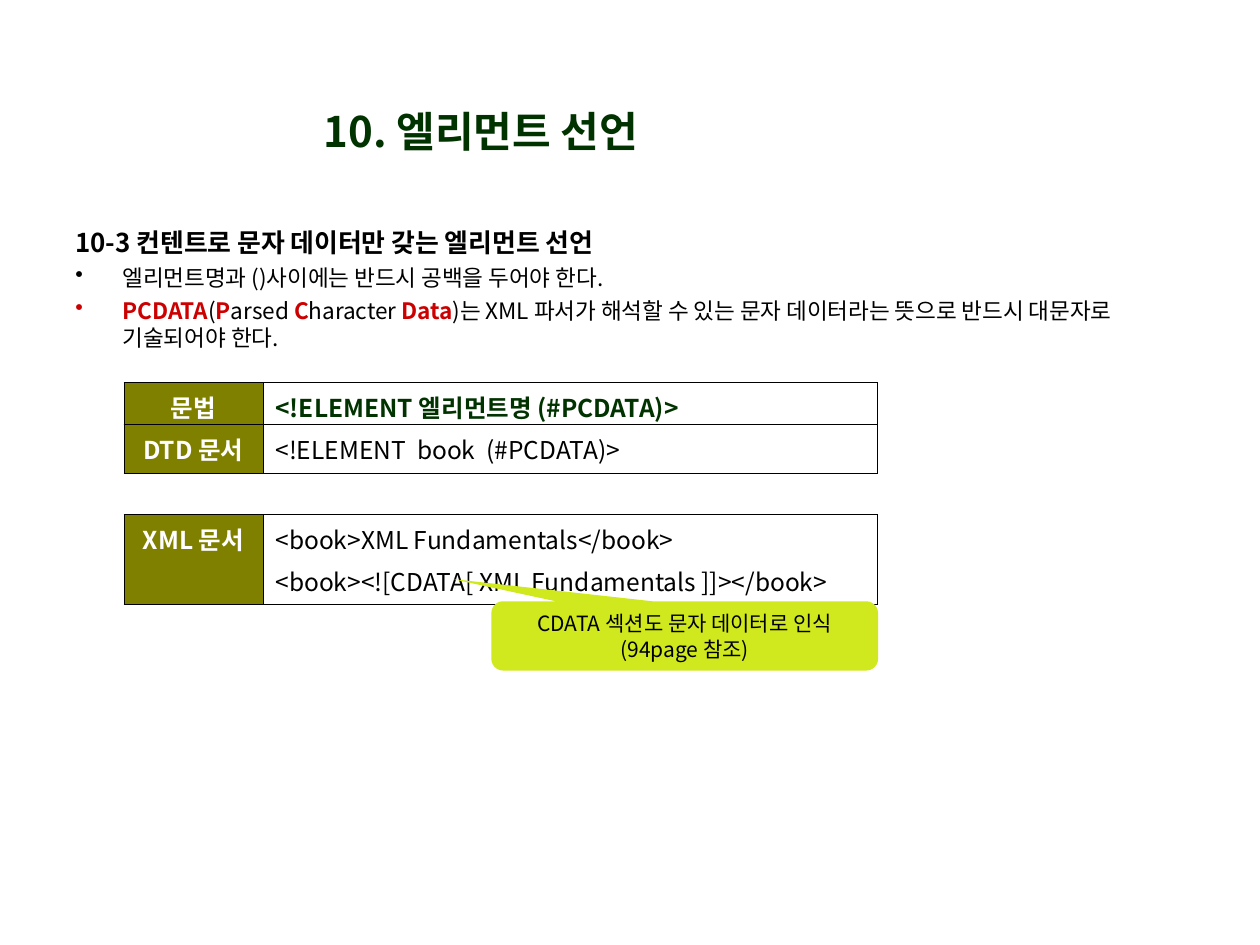
from dataclasses import dataclass

from pptx import Presentation
from pptx.dml.color import RGBColor as Rgb
from pptx.enum.shapes import MSO_SHAPE as Shape
from pptx.enum.text import MSO_ANCHOR as Anchor, PP_ALIGN as Align
from pptx.oxml import parse_xml
from pptx.oxml.ns import nsdecls, qn
from pptx.util import Pt


@dataclass(frozen=True)
class Theme:
    """Colours, type sizes and font of the slide."""
    face: str = "Noto Sans CJK KR"
    black: str = "000000"
    white: str = "FFFFFF"
    green: str = "003300"
    red: str = "CC0000"
    olive: str = "808000"
    lime: str = "D0E81E"
    title: float = 24
    head: float = 14.8
    item: float = 12.9
    cell: float = 14
    note: float = 12
    rule: float = 0.45


T = Theme()


def node(tag, attrs="", inner=""):
    """Make one drawing element."""
    return parse_xml(f"<a:{tag} {nsdecls('a')} {attrs}>{inner}</a:{tag}>")


def style(para, size, color, bold=False, align=None, before=None):
    """Set the font and spacing of a paragraph."""
    font = para.font
    font.size, font.bold, font.name = Pt(size), bold, T.face
    font.color.rgb = Rgb.from_string(color)
    props = para._p.get_or_add_pPr()
    latin = props.find(qn("a:defRPr")).find(qn("a:latin"))
    latin.addnext(node("ea", f'typeface="{T.face}"'))
    if align is not None:
        para.alignment = align
    if before:
        para.space_before = Pt(before)


def write(frame, lines, size, color, bold=False, align=None, before=None):
    """Fill a frame with lines that share one style."""
    frame.word_wrap = True
    for i, line in enumerate(lines):
        para = frame.paragraphs[0] if i == 0 else frame.add_paragraph()
        para.text = line
        style(para, size, color, bold, align, before if i else None)


def bullet(frame, parts, color):
    """Add a bullet whose odd parts are bold and red."""
    para = frame.add_paragraph()
    props = para._p.get_or_add_pPr()
    props.set("marL", str(Pt(27)))
    props.set("indent", str(-Pt(27)))
    props.append(node("buClr", "", f'<a:srgbClr val="{color}"/>'))
    props.append(node("buChar", 'char="•"'))
    style(para, T.item, T.black, before=3.5)
    for i, text in enumerate(parts):
        if text:
            run = para.add_run()
            run.text = text
            if i % 2:
                run.font.bold = True
                run.font.color.rgb = Rgb.from_string(T.red)


def add_body(slide):
    """Add the heading and its two bullets."""
    box = slide.shapes.add_textbox(Pt(36), Pt(126), Pt(647), Pt(81))
    frame = box.text_frame
    write(frame, ["10-3 컨텐트로 문자 데이터만 갖는 엘리먼트 선언"],
          T.head, T.black, True)
    bullet(frame, ["엘리먼트명과 ()사이에는 반드시 공백을 두어야 한다."], T.black)
    bullet(frame, ["", "PCDATA", "(", "P", "arsed ", "C", "haracter ", "Data",
                   ")는 XML 파서가 해석할 수 있는 문자 데이터라는 뜻으로 "
                   "반드시 대문자로 기술되어야 한다."], T.red)


def border(cell):
    """Draw thin black lines round a cell."""
    fill = f'<a:solidFill><a:srgbClr val="{T.black}"/></a:solidFill>'
    props = cell._tc.get_or_add_tcPr()
    for i, side in enumerate(("lnL", "lnR", "lnT", "lnB")):
        props.insert(i, node(side, f'w="{Pt(T.rule)}"', fill))


def add_row(slide, top, high, label, lines, color=T.black, bold=False):
    """Add a one-row table with a label and its code."""
    item = slide.shapes.add_table(1, 2, Pt(70.8), Pt(top), Pt(430.8), Pt(high))
    table = item.table
    table.first_row = table.horz_banding = False
    for col, wide in zip(table.columns, (79.4, 351.4)):
        col.width = Pt(wide)
    name, code = table.cell(0, 0), table.cell(0, 1)
    name.fill.solid()
    name.fill.fore_color.rgb = Rgb.from_string(T.olive)
    code.fill.background()
    write(name.text_frame, [label], T.cell, T.white, True, Align.CENTER)
    write(code.text_frame, lines, T.cell, color, bold, before=3.5)
    border(name)
    border(code)


def add_title(slide):
    """Add the slide title."""
    box = slide.shapes.add_textbox(Pt(116), Pt(54.7), Pt(317.5), Pt(39.6))
    box.text_frame.vertical_anchor = Anchor.MIDDLE
    write(box.text_frame, ["10. 엘리먼트 선언"],
          T.title, T.green, True, Align.CENTER)


def add_note(slide):
    """Add the callout that points at the CDATA line."""
    note = slide.shapes.add_shape(Shape.ROUNDED_RECTANGULAR_CALLOUT,
                                  Pt(280.8), Pt(343.6), Pt(221), Pt(39.6))
    for i, value in enumerate((-0.6, -0.82, 0.17)):
        note.adjustments[i] = value
    note.shadow.inherit = False
    note.fill.solid()
    note.fill.fore_color.rgb = Rgb.from_string(T.lime)
    note.line.fill.background()
    frame = note.text_frame
    frame.vertical_anchor = Anchor.TOP
    write(frame, ["CDATA 섹션도 문자 데이터로 인식(94page 참조)"],
          T.note, T.black, align=Align.CENTER)


def main():
    """Build and save the slide."""
    deck = Presentation()
    deck.slide_width, deck.slide_height = Pt(720), Pt(540)
    slide = deck.slides.add_slide(deck.slide_layouts[6])
    add_body(slide)
    add_row(slide, 242.6, 27.7, "DTD 문서", ["<!ELEMENT  book  (#PCDATA)>"])
    add_row(slide, 294, 51.5, "XML 문서",
            ["<book>XML Fundamentals</book>",
             "<book><![CDATA[ XML Fundamentals ]]></book>"])
    add_row(slide, 218.6, 24, "문법", ["<!ELEMENT 엘리먼트명 (#PCDATA)>"],
            T.green, True)
    add_title(slide)
    add_note(slide)
    deck.save("out.pptx")


if __name__ == "__main__":
    main()
